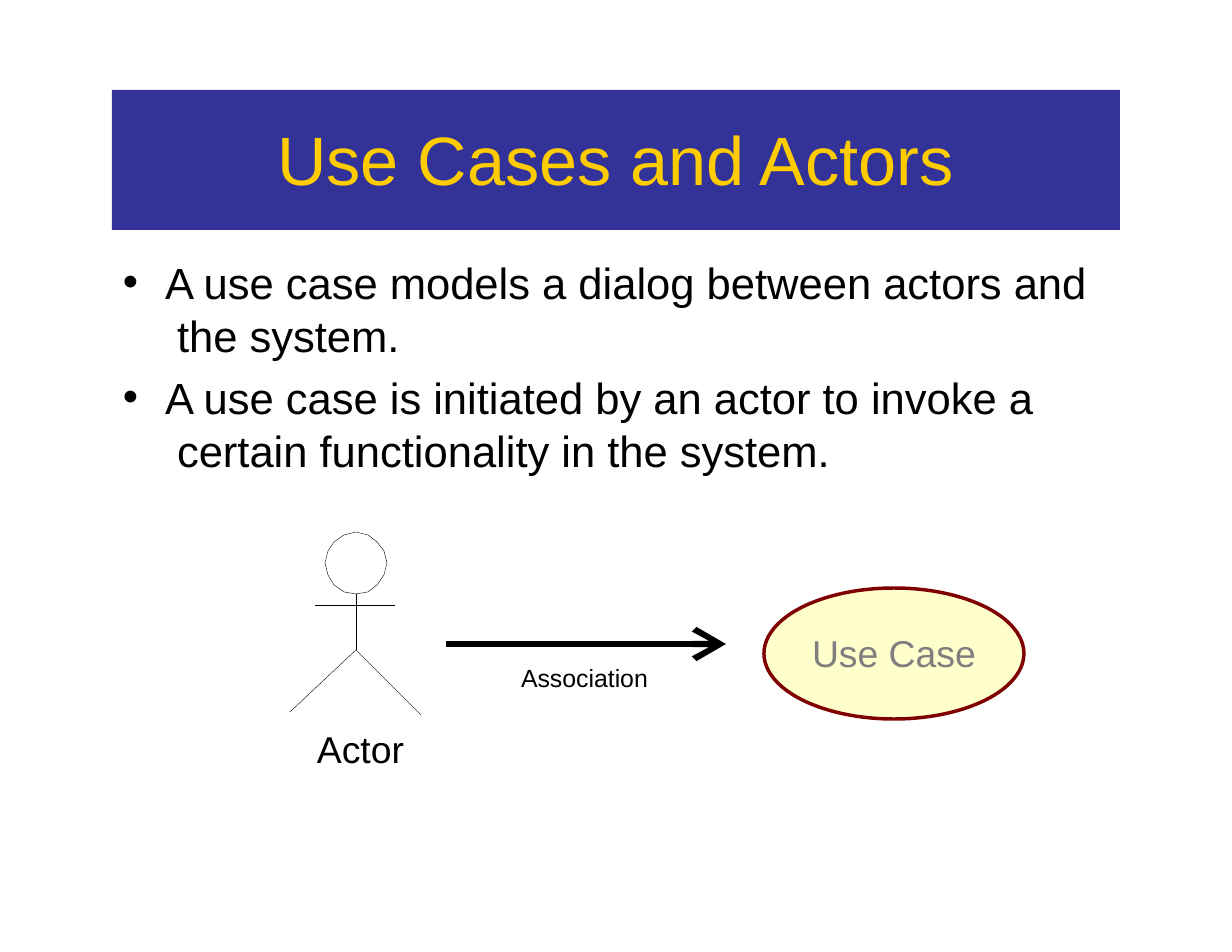
from dataclasses import dataclass

from lxml.etree import SubElement
from pptx import Presentation
from pptx.dml.color import RGBColor
from pptx.enum.shapes import MSO_CONNECTOR as CONN, MSO_SHAPE as SHAPE
from pptx.enum.text import MSO_ANCHOR as ANCHOR, PP_ALIGN as ALIGN
from pptx.oxml.ns import qn
from pptx.util import Emu, Pt

PX = 914400 / 112
FONT = "Arial"
BLACK = "000000"
NBSP = chr(160)  # keeps its width at the start of a wrapped line

Point = tuple[int, int]


@dataclass
class Box:
    x: int
    y: int
    w: int
    h: int


@dataclass
class Label:
    text: str
    box: Box
    size: int
    color: str = BLACK


def px(n: int) -> Emu:
    return Emu(round(n * PX))


def rgb(color: str) -> RGBColor:
    return RGBColor.from_string(color)


def place(box: Box) -> tuple[Emu, ...]:
    return px(box.x), px(box.y), px(box.w), px(box.h)


def set_text(shape, text: str, size: int, color: str, top: int = 1):
    """Fill a shape with top-anchored text, one paragraph per line."""
    tf = shape.text_frame
    tf.word_wrap = True
    tf.vertical_anchor = ANCHOR.TOP
    tf.margin_left = tf.margin_right = tf.margin_bottom = 0
    tf.margin_top = px(top)
    tf.text = text
    for p in tf.paragraphs:
        p.alignment = ALIGN.LEFT
        for r in p.runs:
            r.font.name = FONT
            r.font.size = Pt(size)
            r.font.color.rgb = rgb(color)
            r._r.get_or_add_rPr().set("kern", "0")  # no pair kerning
    return tf


def add_label(s, label: Label):
    sp = s.shapes.add_textbox(*place(label.box))
    return set_text(sp, label.text, label.size, label.color)


def style(sp, fill: str = "", line: str = "", width: float = 0.25) -> None:
    sp.shadow.inherit = False
    if fill:
        sp.fill.solid()
        sp.fill.fore_color.rgb = rgb(fill)
    else:
        sp.fill.background()
    if line:
        sp.line.color.rgb = rgb(line)
        sp.line.width = Pt(width)
    else:
        sp.line.fill.background()


def add_strokes(s, strokes: list[list[Point]]) -> None:
    """Draw several thin open outlines as one shape."""
    first, *rest = strokes
    fb = s.shapes.build_freeform(*first[0], scale=PX)
    fb.add_line_segments(first[1:], close=False)
    for start, *points in rest:
        fb.move_to(*start)
        fb.add_line_segments(points, close=False)
    style(fb.convert_to_shape(), line=BLACK)


def add_arrow(s, start: Point, end: Point, width: float) -> None:
    c = s.shapes.add_connector(CONN.STRAIGHT, *map(px, start + end))
    c.line.color.rgb = rgb(BLACK)
    c.line.width = Pt(width)
    SubElement(c.line._get_or_add_ln(), qn("a:tailEnd"),
               type="arrow", w="lg", len="lg")
    SubElement(c._element.spPr, qn("a:effectLst"))


def add_bullet(p, indent: int) -> None:
    pPr = p._p.get_or_add_pPr()
    pPr.set("marL", str(px(indent)))
    pPr.set("indent", str(-px(indent - 1)))
    SubElement(pPr, qn("a:buFont"), typeface=FONT)
    SubElement(pPr, qn("a:buChar"), char="•")


BULLETS = [
    f"A use case models a dialog between actors and {NBSP}the system.",
    f"A use case is initiated by an actor to invoke a {NBSP}certain "
    "functionality in the system.",
]
HEAD = [(356, 532), (368, 535), (377, 542), (384, 551), (387, 563),
        (384, 575), (377, 585), (368, 592), (356, 594), (344, 592),
        (334, 585), (328, 575), (325, 563), (328, 551), (334, 542),
        (344, 535), (356, 532)]
ACTOR = [
    HEAD,
    [(356, 594), (356, 650)],              # body
    [(315, 605), (395, 605)],              # arms
    [(290, 712), (356, 650), (421, 715)],  # legs
]
LABELS = [
    Label("Actor", Box(317, 725, 91, 48), 24),
    Label("Association", Box(521, 662, 131, 32), 16),
    Label("Use Case", Box(812, 629, 167, 48), 24, "7F7F7F"),
]


def main() -> None:
    prs = Presentation()
    prs.slide_width, prs.slide_height = px(1232), px(952)
    s = prs.slides.add_slide(prs.slide_layouts[6])

    # Title band
    title = s.shapes.add_shape(SHAPE.RECTANGLE,
                               *place(Box(112, 90, 1008, 140)))
    style(title, "323298")
    tf = set_text(title, "Use Cases and Actors", 44, "FFCC00", top=27)
    tf.paragraphs[0].alignment = ALIGN.CENTER

    # Bullet points
    body = Label("\n".join(BULLETS), Box(122, 254, 971, 223), 28)
    for i, p in enumerate(add_label(s, body).paragraphs):
        p.line_spacing = Pt(34)
        p.space_before = Pt(6 if i else 0.9)
        add_bullet(p, 43)

    # Actor figure
    add_strokes(s, ACTOR)

    # Association arrow and use case
    add_arrow(s, (446, 644), (726, 644), 4)
    use_case = s.shapes.add_shape(SHAPE.OVAL, *place(Box(764, 588, 260, 131)))
    style(use_case, "FFFFCC", "7F0000", 2.25)

    for label in LABELS:
        add_label(s, label)

    prs.save("out.pptx")


if __name__ == "__main__":
    main()
